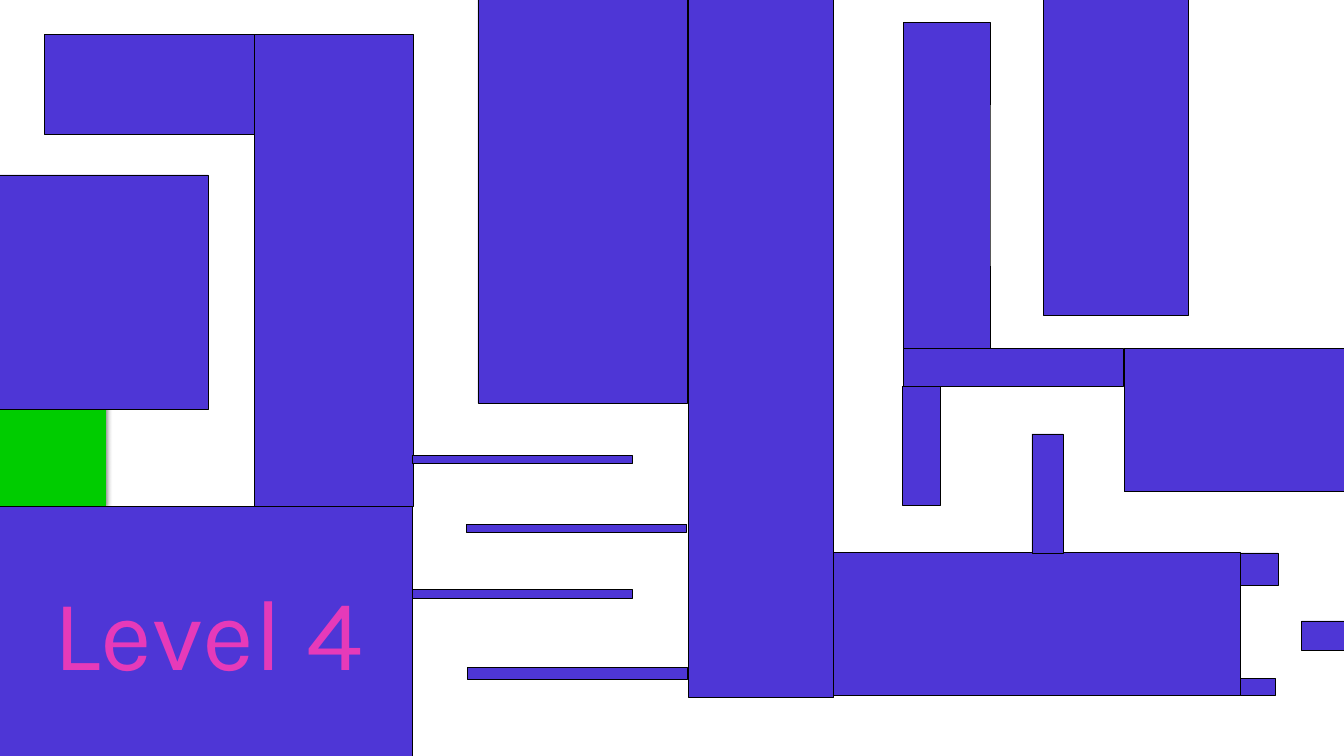
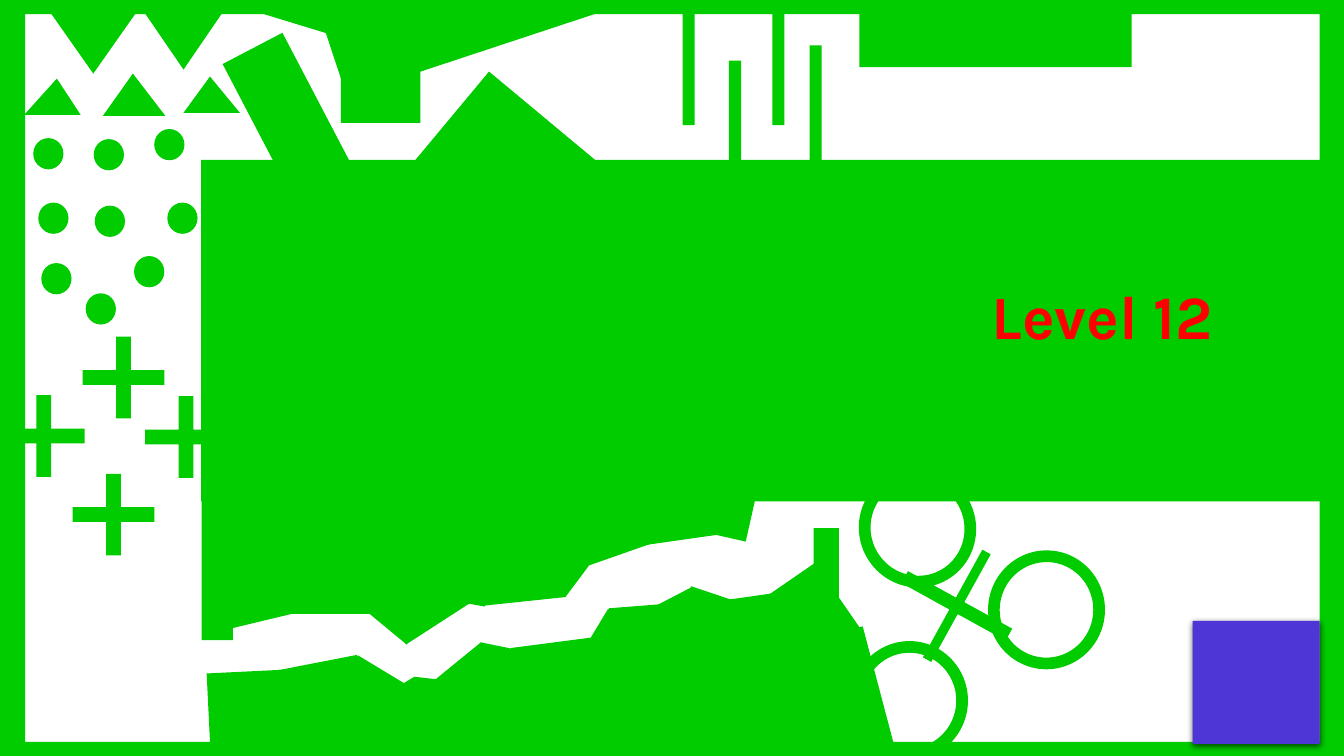
"""Build two maze game levels as slides."""
from dataclasses import dataclass

from lxml import etree
from pptx import Presentation
from pptx import util as u
from pptx.dml import color
from pptx.enum import shapes, text
from pptx.oxml import ns
from pptx.shapes.autoshape import Shape
from pptx.slide import Slide

WHITE = color.RGBColor(0xFF, 0xFF, 0xFF)
BLACK = color.RGBColor(0x00, 0x00, 0x00)
GREEN = color.RGBColor(0x00, 0xCC, 0x00)
PURPLE = color.RGBColor(0x4E, 0x36, 0xD6)
PINK = color.RGBColor(0xE6, 0x3A, 0xB9)
RED = color.RGBColor(0xFF, 0x00, 0x00)

KIND = shapes.MSO_SHAPE
CM_PER_UNIT = 2.54
WIDTH, HEIGHT = 13.33, 7.5
SHADOW = {"blurRad": "57150", "dist": "19050", "dir": "5400000",
          "algn": "bl", "rotWithShape": "0"}


@dataclass(frozen=True)
class Block:
    """A preset shape placed on the level grid."""
    left: float
    top: float
    width: float
    height: float
    rotation: float = 0
    kind: KIND = KIND.RECTANGLE
    adjustments: tuple[float, ...] = ()


@dataclass(frozen=True)
class Heading:
    """A level title with its frame, paragraph and font formats."""
    wording: str
    box: tuple[float, float, float, float]
    colour: color.RGBColor
    frame: dict
    paragraph: dict
    font: dict


FLOOR = Block(0, 0, WIDTH, HEIGHT)

START_PAD = Block(0, 4, 1.05, 1.02)
WALLS = [
    Block(6.83, -0.38, 1.44, 7.3),
    Block(3.38, 0.56, 4.8, 2.08, 270),
    Block(0.44, 0.34, 2.08, 0.99),
    Block(0.97, 1.89, 4.68, 1.58, 270),
    Block(-0.14, 1.86, 2.33, 2.08, 270),
    Block(-0.22, 5.02, 4.31, 2.48),
    Block(8.27, 5.48, 4.03, 1.42),
    Block(11.15, 3.46, 2.18, 1.42),
    Block(9.8, 4.74, 1.18, 0.31, 270),
    Block(8.96, 3.46, 2.18, 0.37),
    Block(8.55, 4.23, 1.18, 0.38, 270),
    Block(9.45, 0.79, 3.24, 1.44, 270),
    Block(7.77, 1.41, 3.24, 0.86, 270),
    Block(12.33, 5.46, 0.32, 0.37, 270),
    Block(12.98, 6.09, 0.29, 0.43, 270),
    Block(12.39, 6.64, 0.17, 0.35, 270),
]
LEDGES = [Block(left, top, 2.18, thickness) for left, top, thickness in [
    (4.09, 4.52, 0.08), (4.63, 5.2, 0.08), (4.09, 5.85, 0.09), (4.64, 6.62, 0.12)]]

PANELS = [
    Block(9.54, -1.02, 0.67, 2.7, 270),
    Block(5.97, -2.39, 3.39, 11.34, 270),
    Block(4.53, 0.86, 1.15, 1.62, 309.8),
    Block(4.28, -1.14, 0.67, 2.7, 251.7),
    Block(3.44, 0.49, 0.67, 0.79, 270),
    Block(2.58, 0.38, 0.67, 1.77, 332.4),
    Block(3.01, -0.63, 0.5, 1.41, 287),
    Block(2, 4.91, 0.31, 1.44),
    Block(8.07, 5.24, 0.25, 1.28),
    Block(4.41, 6.5, 0.85, 1.24, 320.8),
    Block(2.25, 4.89, 3.12, 0.85),
    Block(5.43, 6.62, 3.36, 1.39, 345.2),
]
POSTS = [Block(left, top, 1.14, 0.12, 270) for left, top in [
    (7.52, 0.96), (7.15, 0.61), (6.72, 1.11), (6.26, 0.61)]]
DOTS = [Block(left, top, 0.3, 0.31, kind=KIND.FLOWCHART_CONNECTOR) for left, top in [
    (0.33, 1.37), (0.38, 2.01), (0.94, 2.04), (0.93, 1.38), (1.53, 1.28),
    (1.66, 2.01), (1.33, 2.54), (0.85, 2.91), (0.41, 2.61)]]
SPIKES = [Block(*box, rotation, KIND.ISOSCELES_TRIANGLE, (apex,))
          for box, rotation, apex in [
              ((0.24, 0.78, 0.56, 0.36), 0, 0.58),
              ((1.02, 0.73, 0.62, 0.42), 0, 0.48),
              ((1.82, 0.76, 0.56, 0.36), 0, 0.47),
              ((1.43, 0.12, 0.78, 0.57), 180, 0.5),
              ((0.51, 0.14, 0.83, 0.59), 180, 0.5)]]
CROSSES = [Block(left, top, 0.81, 0.81, 0, KIND.CROSS, (0.41,)) for left, top in [
    (0.72, 4.7), (1.44, 3.93), (0.82, 3.34), (0.03, 3.92)]]
CAVE_ROOF = [
    (2.13, 5.31, 346.5), (2.87, 5.24, 0), (3.55, 5.37, 39.6), (3.73, 5.38, 327.1),
    (4.04, 5.1, 10.1), (4.72, 5.12, 84), (5.1, 4.9, 306.8), (5.6, 4.67, 340.7),
    (6.28, 4.51, 351.9), (6.65, 4.44, 12.7)]
CAVE_FLOOR = [
    (4.06, 6.76, 6.6), (4.68, 6.45, 11.5), (5.12, 6.37, 352.6), (5.75, 6.2, 31.1),
    (6.26, 5.97, 332.5), (6.7, 5.93, 18.5), (6.96, 5.93, 351.9), (7.55, 5.75, 325.4),
    (6.07, 6, 85.5), (3.54, 6.87, 329.2), (3.27, 6.66, 31.1), (2.78, 6.57, 349),
    (2.07, 6.66, 357.2)]
ROCKS = [Block(left, top, 0.85, 0.85, rotation)
         for left, top, rotation in CAVE_ROOF + CAVE_FLOOR]
RINGS = [Block(left, top, 1.18, 1.16, rotation, KIND.BLOCK_ARC, arc)
         for left, top, rotation, arc in [
             (8.51, 4.66, 243.6, (44.4, 198.99, 0.1)),
             (9.79, 5.47, 274.4, (44.01, 43.98, 0.1)),
             (8.43, 6.37, 90, (44.4, 198.99, 0.1))]]
SPINNER = Block(8.88, 5.42, 1.22, 1.18, 298.9, KIND.CROSS, (0.46,))
GOAL = Block(11.83, 6.16, 1.26, 1.22)
BORDER_INNER = [(0.25, 0.14), (0.25, 7.36), (13.09, 7.36), (13.09, 0.14)]
BORDER_OUTER = [(0, 0), (WIDTH, 0), (WIDTH, HEIGHT), (0, HEIGHT)]

LEVEL_4 = Heading(
    "Level 4", (0.28, 5.6, 3.57, 1.31), PINK,
    {"vertical_anchor": text.MSO_ANCHOR.TOP,
     "auto_size": text.MSO_AUTO_SIZE.SHAPE_TO_FIT_TEXT},
    {"line_spacing": 1.0},
    {"size": u.Pt(72), "bold": False})
LEVEL_12 = Heading(
    "Level 12", (9.47, 2.47, 2.93, 1.08), RED,
    {"vertical_anchor": text.MSO_ANCHOR.BOTTOM, "auto_size": text.MSO_AUTO_SIZE.NONE},
    {"line_spacing": 0.9},
    {"size": u.Pt(44), "bold": True})


def length(units: float) -> u.Cm:
    """Convert level grid units to a slide length."""
    return u.Cm(units * CM_PER_UNIT)


def apply(target: object, formats: dict) -> None:
    """Set every format value on the target."""
    for name, value in formats.items():
        setattr(target, name, value)


def paint(shape: Shape, fill: color.RGBColor, outlined: bool = False) -> None:
    """Give a shape a flat fill and an optional thin outline."""
    shape.shadow.inherit = False
    shape.fill.solid()
    shape.fill.fore_color.rgb = fill
    if outlined:
        shape.line.color.rgb = BLACK
        shape.line.width = u.Pt(0.5)
    else:
        shape.line.fill.background()


def draw_block(slide: Slide, block: Block, fill: color.RGBColor,
               outlined: bool = False) -> Shape:
    """Draw one block on the slide."""
    box = map(length, (block.left, block.top, block.width, block.height))
    shape = slide.shapes.add_shape(block.kind, *box)
    shape.rotation = block.rotation
    for index, value in enumerate(block.adjustments):
        shape.adjustments[index] = value
    paint(shape, fill, outlined)
    return shape


def add_shadow(shape: Shape) -> None:
    """Add a soft shadow below the shape."""
    effects = shape.element.spPr.find(ns.qn("a:effectLst"))
    shadow = etree.SubElement(effects, ns.qn("a:outerShdw"), SHADOW)
    tint = etree.SubElement(shadow, ns.qn("a:srgbClr"), {"val": str(BLACK)})
    etree.SubElement(tint, ns.qn("a:alpha"), {"val": "63000"})


def draw_border(slide: Slide) -> None:
    """Draw the frame around the level."""
    inner, outer = ([(length(x), length(y)) for x, y in points]
                    for points in (BORDER_INNER, BORDER_OUTER))
    builder = slide.shapes.build_freeform(*inner[0])
    builder.add_line_segments(inner[1:], close=True)
    builder.move_to(*outer[0])
    builder.add_line_segments(outer[1:], close=True)
    paint(builder.convert_to_shape(), GREEN)


def write_heading(slide: Slide, heading: Heading) -> None:
    """Place the title in front of the level and format it."""
    title = slide.shapes.title
    title.element.getparent().append(title.element)
    apply(title, dict(zip(("left", "top", "width", "height"), map(length, heading.box))))
    frame = title.text_frame
    frame.text = heading.wording
    apply(frame, {"word_wrap": True} | heading.frame)
    paragraph = frame.paragraphs[0]
    apply(paragraph, {"alignment": text.PP_ALIGN.CENTER} | heading.paragraph)
    font = paragraph.runs[0].font
    apply(font, {"name": "Karla"} | heading.font)
    font.color.rgb = heading.colour


def add_level(presentation: Presentation) -> Slide:
    """Add a slide with a white floor."""
    slide = presentation.slides.add_slide(presentation.slide_layouts[5])
    draw_block(slide, FLOOR, WHITE)
    return slide


def build_level_4(presentation: Presentation) -> None:
    """Build the level with purple walls."""
    slide = add_level(presentation)
    add_shadow(draw_block(slide, START_PAD, GREEN))
    for wall in WALLS + LEDGES:
        draw_block(slide, wall, PURPLE, outlined=True)
    write_heading(slide, LEVEL_4)


def build_level_12(presentation: Presentation) -> None:
    """Build the level with green obstacles."""
    slide = add_level(presentation)
    draw_border(slide)
    for obstacle in PANELS + POSTS + DOTS + SPIKES + CROSSES + ROCKS + RINGS + [SPINNER]:
        draw_block(slide, obstacle, GREEN)
    add_shadow(draw_block(slide, GOAL, PURPLE))
    write_heading(slide, LEVEL_12)


def main() -> None:
    """Create and save the presentation."""
    presentation = Presentation()
    presentation.slide_width = length(WIDTH)
    presentation.slide_height = length(HEIGHT)
    background = presentation.slide_master.background.fill
    background.solid()
    background.fore_color.rgb = BLACK
    build_level_4(presentation)
    build_level_12(presentation)
    presentation.save("out.pptx")


if __name__ == "__main__":
    main()
